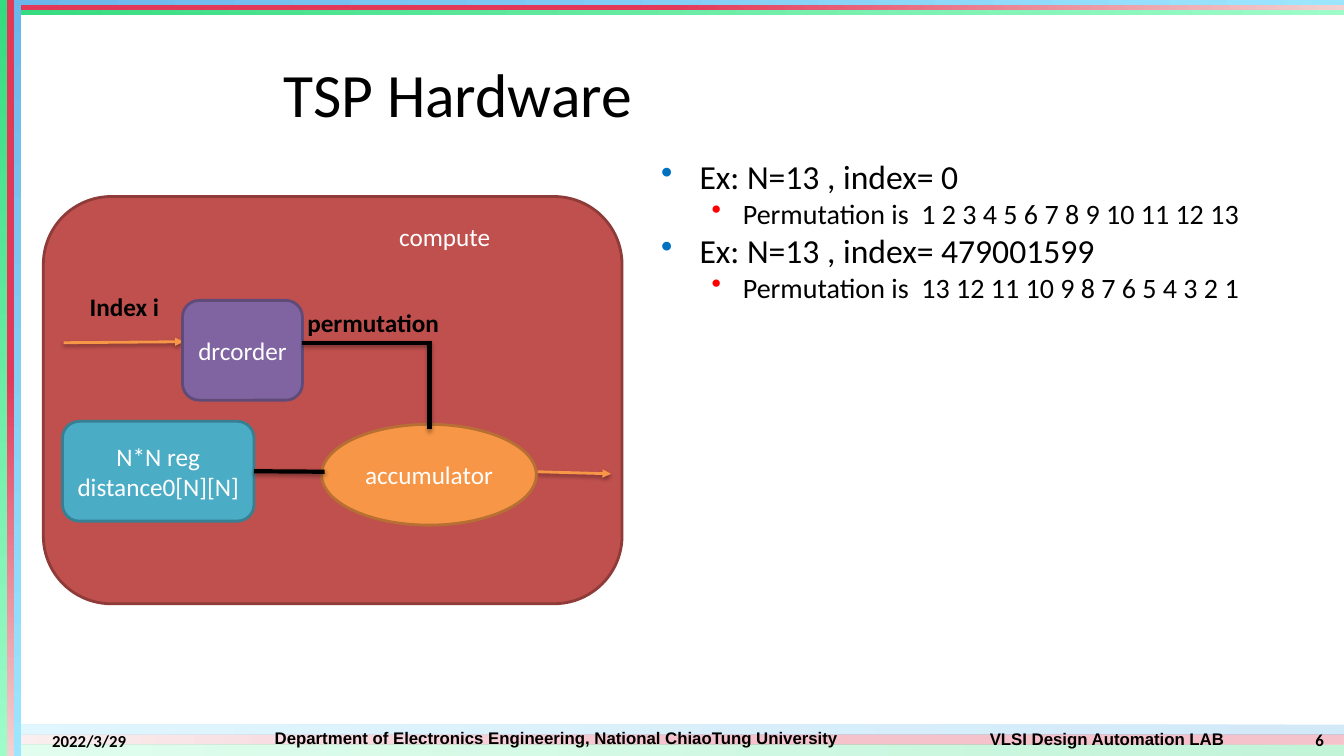
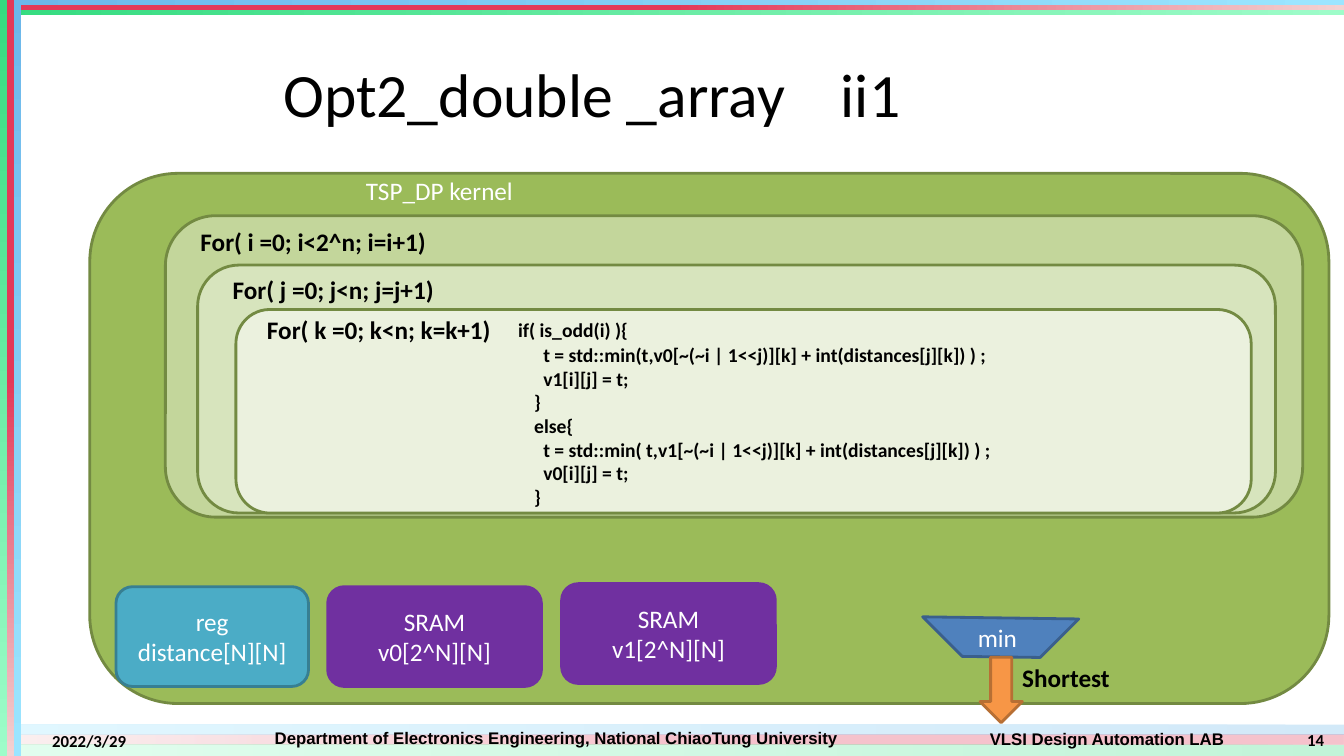
from lxml.etree import SubElement
from pptx import Presentation
from pptx.dml.color import RGBColor
from pptx.enum.shapes import MSO_CONNECTOR, MSO_SHAPE as SHAPE
from pptx.enum.text import MSO_ANCHOR as ANCHOR, MSO_AUTO_SIZE, PP_ALIGN as ALIGN
from pptx.oxml.ns import qn
from pptx.util import Inches, Pt

COLOURS = {
    "black": "000000", "white": "FFFFFF",
    "band_red": "E33959", "band_pink": "F2D2D2",
    "band_green": "35DB80", "band_mint": "9EFCC9",
    "band_blue": "6CB7EA", "band_sky": "9BE5FF",
    "bullet_blue": "0070C0", "bullet_red": "FF0000",
    "red": "C0504D", "red_edge": "8E3B39",
    "teal": "4BACC6", "teal_edge": "377F92",
    "violet": "8064A2", "violet_edge": "5F4A78",
    "orange": "F79646", "orange_edge": "B76F34",
    "blue": "4F81BD", "blue_edge": "3A5F8C",
    "purple": "7030A0",
    "green": "9BBB59", "green_edge": "738A42",
    "green_mid": "C3D69B", "green_light": "D7E4BD", "green_pale": "EBF1DE",
}
WIDTH, HEIGHT = 13.33, 7.5
RIGHT, LEFT, DOWN = 0, 180, 270  # gradient directions

RED = ("band_red", "band_pink", 0.5)
GREEN = ("band_green", "band_mint", 0)
BLUE = ("band_blue", "band_sky", 0)
# left, top, width, height, gradient, direction, opacity in percent
BANDS = [
    (0, 7.29, WIDTH, 0.1, RED, LEFT, 30),
    (0, 7.39, WIDTH, 0.11, GREEN, LEFT, 30),
    (0, 7.19, WIDTH, 0.1, BLUE, LEFT, 29),
    (0, 0.05, WIDTH, 0.05, RED, RIGHT, 100),
    (0, 0.1, WIDTH, 0.05, GREEN, RIGHT, 100),
    (0, 0, WIDTH, 0.05, BLUE, RIGHT, 100),
    (0.07, 0, 0.07, HEIGHT, RED, DOWN, 100),
    (0, 0, 0.07, HEIGHT, GREEN, DOWN, 100),
    (0.14, 0, 0.07, HEIGHT, BLUE, DOWN, 100),
]


def rgb(name):
    return RGBColor.from_string(COLOURS[name])


def inches(*lengths):
    return [Inches(length) for length in lengths]


def write(frame, lines, size=18, colour="black", bold=False, align=ALIGN.LEFT,
          font="Calibri"):
    """Fill a text frame with one paragraph per line, all in one style."""
    frame.word_wrap = True
    for number, line in enumerate(lines):
        para = frame.add_paragraph() if number else frame.paragraphs[0]
        para.text = line
        para.alignment = align
        para.font.name = font
        para.font.size = Pt(size)
        para.font.bold = bold
        para.font.color.rgb = rgb(colour)
    return frame.paragraphs


def add_label(page, place, text, anchor=ANCHOR.TOP, **style):
    box = page.shapes.add_textbox(*inches(*place))
    box.text_frame.vertical_anchor = anchor
    write(box.text_frame, [text], **style)


def add_block(page, kind, place, fill, edge, lines=()):
    block = page.shapes.add_shape(kind, *inches(*place))
    block.shadow.inherit = False
    block.fill.solid()
    block.fill.fore_color.rgb = rgb(fill)
    block.line.color.rgb = rgb(edge)
    block.line.width = Pt(2)
    block.text_frame.vertical_anchor = ANCHOR.MIDDLE
    write(block.text_frame, lines, colour="white", align=ALIGN.CENTER)
    return block


def add_wire(page, start, end, colour="black", width=3, arrow=False):
    """Draw a straight line with a soft shadow below it."""
    wire = page.shapes.add_connector(MSO_CONNECTOR.STRAIGHT, *inches(*start, *end))
    wire.line.color.rgb = rgb(colour)
    wire.line.width = Pt(width)
    if arrow:
        SubElement(wire.line._get_or_add_ln(), qn("a:tailEnd"), type="triangle")
    effects = SubElement(wire._element.spPr, qn("a:effectLst"))
    shadow = SubElement(effects, qn("a:outerShdw"), blurRad=str(Pt(3.1)),
                        dist=str(Pt(1.6)), dir="5400000", rotWithShape="0")
    shade = SubElement(shadow, qn("a:srgbClr"), val=COLOURS["black"])
    SubElement(shade, qn("a:alpha"), val="38000")
    return wire


def add_band(page, left, top, width, height, gradient, direction, opacity):
    band = page.shapes.add_shape(SHAPE.RECTANGLE, *inches(left, top, width, height))
    band.shadow.inherit = False
    band.line.fill.background()
    band.fill.gradient()
    band.fill.gradient_angle = direction
    first, last, start = gradient
    for stop, colour, position in zip(band.fill.gradient_stops, (first, last), (start, 1)):
        stop.color.rgb = rgb(colour)
        stop.position = position
    if opacity < 100:
        for colour in band._element.spPr.find(qn("a:gradFill")).iter(qn("a:srgbClr")):
            SubElement(colour, qn("a:alpha"), val=str(opacity * 1000))


def add_page(deck, title, number):
    """Add a slide with the shared bands, footer and title."""
    page = deck.slides.add_slide(deck.slide_layouts[5])
    for band in BANDS:
        add_band(page, *band)
    footer = dict(anchor=ANCHOR.MIDDLE, size=12, bold=True)
    centred = dict(footer, font="Arial", align=ALIGN.CENTER)
    add_label(page, (2.08, 7.17, 6.88, 0.3),
              "Department of Electronics Engineering, National ChiaoTung University", **centred)
    add_label(page, (9.17, 7.18, 3.62, 0.3), "VLSI Design Automation LAB", **centred)
    add_label(page, (0.42, 7.19, 1.46, 0.31), "2022/3/29", **footer)
    add_label(page, (12.65, 7.18, 0.58, 0.32), str(number), align=ALIGN.RIGHT, **footer)

    heading = page.shapes.title
    heading.left, heading.top, heading.width, heading.height = inches(2.71, 0.3, 9.96, 1.25)
    frame = heading.text_frame
    frame.auto_size = MSO_AUTO_SIZE.NONE
    frame.vertical_anchor = ANCHOR.MIDDLE
    para = write(frame, [title], size=44)[0]
    tabs = SubElement(para._p.get_or_add_pPr(), qn("a:tabLst"))
    tabs.getparent().insert(0, tabs)
    SubElement(tabs, qn("a:tab"), pos=str(Inches(5.53)), algn="l")
    return page


def add_bullets(page, place, items):
    """Write (level, text) pairs as a two-level bullet list."""
    styles = [(0.38, 0.38, 24, "bullet_blue"), (0.81, 0.31, 20, "bullet_red")]
    box = page.shapes.add_textbox(*inches(*place))
    paras = write(box.text_frame, [text for level, text in items])
    for para, (level, text) in zip(paras, items):
        margin, hanging, size, colour = styles[level]
        para.level = level
        para.font.size = Pt(size)
        props = para._p.get_or_add_pPr()
        props.set("marL", str(Inches(margin)))
        props.set("indent", str(-Inches(hanging)))
        bullet_colour = props.makeelement(qn("a:buClr"))
        SubElement(bullet_colour, qn("a:srgbClr"), val=COLOURS[colour])
        bullet = props.makeelement(qn("a:buChar"), char="•")
        props.insert(0, bullet_colour)
        props.insert(1, bullet)


def add_code(page, place, lines):
    """Write (indent in inches, text) pairs as lines of code."""
    box = page.shapes.add_textbox(*inches(*place))
    paras = write(box.text_frame, [text for indent, text in lines], size=14, bold=True)
    for para, (indent, text) in zip(paras, lines):
        para._p.get_or_add_pPr().set("marL", str(Inches(indent)))
    paras[0].space_after = Pt(1)


def build_hardware(deck):
    page = add_page(deck, "TSP Hardware", 6)
    rounded = SHAPE.ROUNDED_RECTANGLE
    add_block(page, rounded, (0.43, 1.95, 5.74, 4.04), "red", "red_edge")
    add_label(page, (3.86, 2.15, 1.22, 0.4), "compute", colour="white")
    add_wire(page, (0.63, 3.4), (1.82, 3.39), "orange", 2, arrow=True)
    register = add_block(page, rounded, (0.62, 4.18, 1.9, 0.99), "teal", "teal_edge",
                         ["N*N reg", "distance0[N][N]"])
    add_label(page, (0.79, 2.84, 1.27, 0.4), "Index i", bold=True)
    add_block(page, rounded, (1.81, 2.98, 1.19, 0.99), "violet", "violet_edge", ["drcorder"])
    add_wire(page, (5.33, 4.68), (6.06, 4.7), "orange", 2, arrow=True)
    add_label(page, (2.95, 3, 1.77, 0.4), "permutation", bold=True)
    add_block(page, SHAPE.OVAL, (3.19, 4.21, 2.13, 1), "orange", "orange_edge", ["accumulator"])
    add_wire(page, (2.52, 4.68), (3.22, 4.68)).begin_connect(register, 3)
    add_wire(page, (4.26, 4.26), (4.26, 3.38))
    add_wire(page, (3, 3.4), (4.26, 3.4))
    add_bullets(page, (6.46, 1.5, 6.77, 4.95), [
        (0, "Ex: N=13 , index= 0"),
        (1, "Permutation is  1 2 3 4 5 6 7 8 9 10 11 12 13"),
        (0, "Ex: N=13 , index= 479001599"),
        (1, "Permutation is  13 12 11 10 9 8 7 6 5 4 3 2 1"),
    ])


def build_double_array(deck):
    page = add_page(deck, "Opt2_double _array\tii1", 14)
    rounded = SHAPE.ROUNDED_RECTANGLE
    add_block(page, rounded, (0.89, 1.72, 12.29, 5.26), "green", "green_edge")
    add_label(page, (3.53, 1.69, 1.78, 0.4), "TSP_DP kernel", colour="white")

    loops = [
        ((1.64, 2.14, 11.28, 2.99), "green_mid", (1.89, 2.2), "For( i =0; i<2^n; i=i+1)"),
        ((1.96, 2.63, 10.69, 2.46), "green_light", (2.21, 2.67), "For( j =0; j<n; j=j+1)"),
        ((2.34, 3.07, 10.07, 2.02), "green_pale", (2.55, 3.07), "For( k =0; k<n; k=k+1)"),
    ]
    for place, fill, corner, text in loops:
        add_block(page, rounded, place, fill, "green_edge")
        add_label(page, (*corner, 3.2, 0.4), text, bold=True)
    add_code(page, (4.94, 3.11, 6.44, 2), [
        (0.1, "if( is_odd(i) ){"),
        (0.35, "t = std::min(t,v0[~(~i | 1<<j)][k] + int(distances[j][k]) ) ;"),
        (0.35, "v1[i][j] = t;"),
        (0.26, "}"),
        (0.26, "else{"),
        (0.35, "t = std::min( t,v1[~(~i | 1<<j)][k] + int(distances[j][k]) ) ;"),
        (0.35, "v0[i][j] = t;"),
        (0.26, "}"),
    ])

    memories = [
        ((1.15, 5.82, 1.91, 0.99), "teal", "teal_edge", ["reg", "distance[N][N]"]),
        ((3.25, 5.82, 2.12, 0.99), "purple", "purple", ["SRAM", "v0[2^N][N]"]),
        ((5.57, 5.79, 2.12, 0.99), "purple", "purple", ["SRAM", "v1[2^N][N]"]),
    ]
    for memory in memories:
        add_block(page, rounded, *memory)

    selector = add_block(page, SHAPE.DIAGONAL_STRIPE, (9.37, 5.59, 1.11, 1.08),
                         "blue", "blue_edge")
    selector.rotation = 225
    add_label(page, (9.6, 6.12, 0.76, 0.4), "min", colour="white")
    add_block(page, SHAPE.DOWN_ARROW, (9.72, 6.52, 0.42, 0.65), "orange", "orange_edge")
    add_label(page, (10.04, 6.52, 2.07, 0.4), "Shortest", bold=True)


def main():
    deck = Presentation()
    deck.slide_width, deck.slide_height = inches(WIDTH, HEIGHT)
    build_hardware(deck)
    build_double_array(deck)
    deck.save("out.pptx")


if __name__ == "__main__":
    main()
